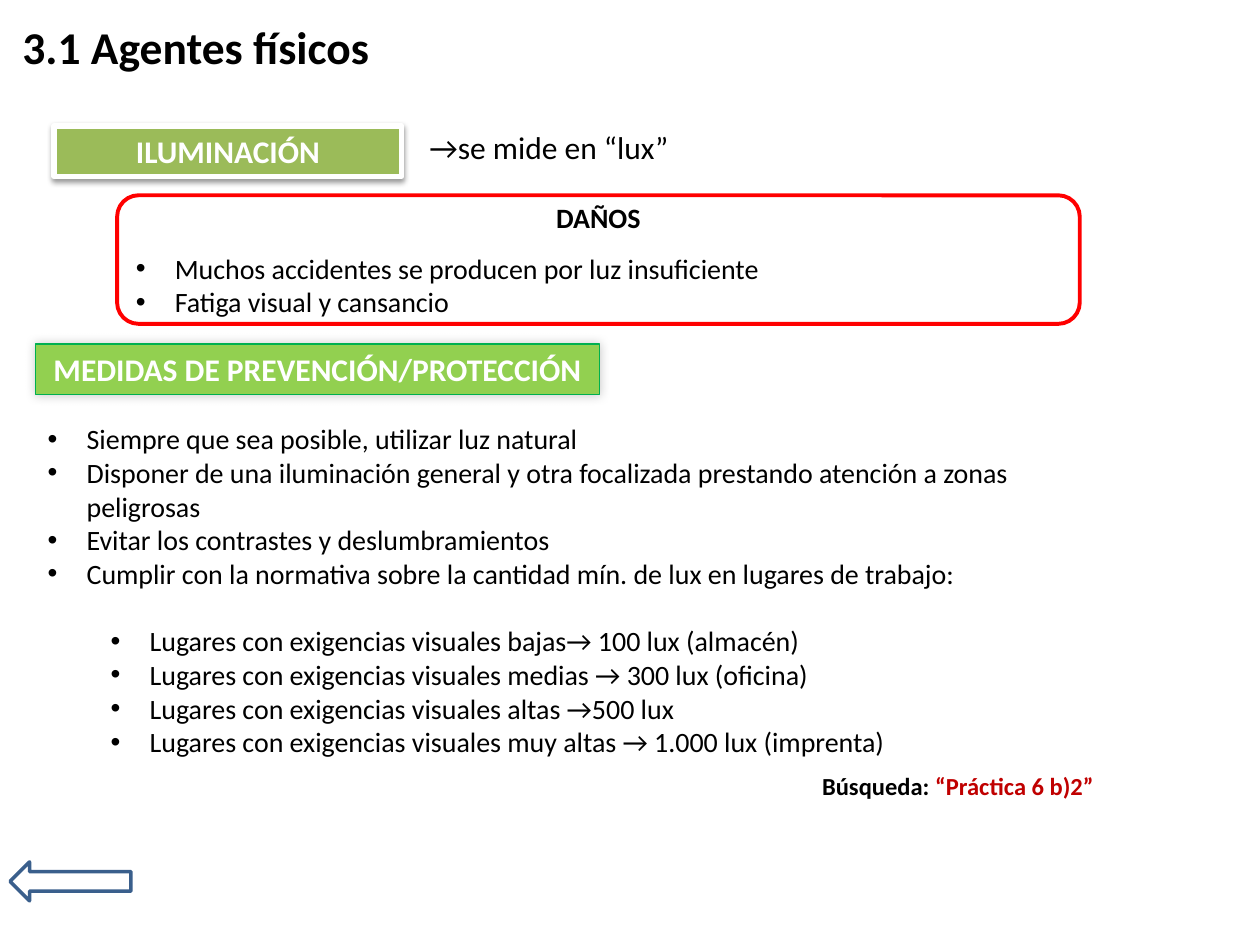
import pptx
import pptx.util
import pptx.oxml
import pptx.oxml.ns
import pptx.dml.color
import pptx.enum.shapes
import pptx.enum.text

Inches = pptx.util.Inches
Pt = pptx.util.Pt
SHAPE = pptx.enum.shapes.MSO_SHAPE
ALIGN = pptx.enum.text.PP_ALIGN
ANCHOR = pptx.enum.text.MSO_ANCHOR
NS = pptx.oxml.ns.nsdecls("a")

HUES = {
    "text": "000000", "light": "FFFFFF", "lime": "92D050", "green": "00B050",
    "olive": "9BBB59", "harm": "FF0000", "arrow": "3A5F8C", "task": "C00000",
}
HARMS = ["Muchos accidentes se producen por luz insuficiente",
         "Fatiga visual y cansancio"]
STEPS = ["Siempre que sea posible, utilizar luz natural",
         "Disponer de una iluminación general y otra focalizada prestando "
         "atención a zonas peligrosas",
         "Evitar los contrastes y deslumbramientos",
         "Cumplir con la normativa sobre la cantidad mín. de lux en lugares "
         "de trabajo:"]
NEEDS = ["bajas→ 100 lux (almacén)", "medias → 300 lux (oficina)",
         "altas →500 lux", "muy altas → 1.000 lux (imprenta)"]


def tint(name):
    return pptx.dml.color.RGBColor.from_string(HUES[name])


def apply(item, looks):
    for key, value in looks.items():
        setattr(item, key, value)


def write(para, text, size, bold=False, hue="text"):
    run = para.add_run()
    run.text = text
    apply(run.font, {"name": "Calibri", "size": Pt(size), "bold": bold})
    run.font.color.rgb = tint(hue)


def bullet(para, text, size, left=0.31, level=0):
    props = para._p.get_or_add_pPr()
    props.set("marL", str(Inches(left)))
    props.set("indent", str(Inches(-0.31)))
    props.append(pptx.oxml.parse_xml(f'<a:buFont {NS} typeface="Arial"/>'))
    props.append(pptx.oxml.parse_xml(f'<a:buChar {NS} char="•"/>'))
    apply(para, {"level": level, "alignment": ALIGN.LEFT})
    write(para, text, size)


def label(slide, box, parts, size, bold=False, align=ALIGN.LEFT,
          anchor=ANCHOR.TOP):
    frame = slide.shapes.add_textbox(*map(Inches, box)).text_frame
    apply(frame, {"word_wrap": True, "vertical_anchor": anchor})
    para = frame.paragraphs[0]
    para.alignment = align
    for text, hue in parts:
        write(para, text, size, bold, hue)


def panel(slide, box, kind, line, width, fill=None):
    shape = slide.shapes.add_shape(kind, *map(Inches, box))
    shape.shadow.inherit = False
    if fill:
        shape.fill.solid()
        shape.fill.fore_color.rgb = tint(fill)
    else:
        shape.fill.background()
    shape.line.color.rgb = tint(line)
    shape.line.width = Pt(width)
    return shape


def shade(shape, alpha, blur, dist, angle):
    effects = shape._element.spPr.find(pptx.oxml.ns.qn("a:effectLst"))
    effects.append(pptx.oxml.parse_xml(
        f'<a:outerShdw {NS} blurRad="{Pt(blur)}" dist="{Pt(dist)}" '
        f'dir="{angle * 60000}" rotWithShape="0"><a:srgbClr val="000000">'
        f'<a:alpha val="{alpha * 1000}"/></a:srgbClr></a:outerShdw>'))


def banner(slide, box, text, fill, line, width, shadow):
    shape = panel(slide, box, SHAPE.RECTANGLE, line, width, fill)
    shade(shape, *shadow)
    frame = shape.text_frame
    apply(frame, {"word_wrap": True, "vertical_anchor": ANCHOR.TOP})
    frame.paragraphs[0].alignment = ALIGN.CENTER
    write(frame.paragraphs[0], text, 18, True, "light")


def damage(slide, box):
    frame = panel(slide, box, SHAPE.ROUNDED_RECTANGLE, "harm", 2.25).text_frame
    apply(frame, {"word_wrap": True, "vertical_anchor": ANCHOR.MIDDLE})
    head = frame.paragraphs[0]
    apply(head, {"alignment": ALIGN.CENTER, "space_after": Pt(9.8)})
    write(head, "DAÑOS", 16, True)
    for text in HARMS:
        bullet(frame.add_paragraph(), text, 16)


def advice(slide, box):
    frame = slide.shapes.add_textbox(*map(Inches, box)).text_frame
    frame.word_wrap = True
    para = frame.paragraphs[0]
    for i, text in enumerate(STEPS):
        para = para if i == 0 else frame.add_paragraph()
        bullet(para, text, 16)
    para.space_after = Pt(19.5)
    for need in NEEDS:
        bullet(frame.add_paragraph(), f"Lugares con exigencias visuales {need}",
               16, 0.81, 1)


def main():
    deck = pptx.Presentation()
    apply(deck, {"slide_width": Inches(10), "slide_height": Inches(7.5)})
    slide = deck.slides.add_slide(deck.slide_layouts[6])
    label(slide, (0.08, 0.05, 9.92, 0.63), [("3.1 Agentes físicos", "text")],
          26, True, anchor=ANCHOR.MIDDLE)
    panel(slide, (0.08, 6.84, 0.96, 0.31), SHAPE.LEFT_ARROW, "arrow", 2)
    banner(slide, (0.28, 2.73, 4.48, 0.4), "MEDIDAS DE PREVENCIÓN/PROTECCIÓN",
           "lime", "green", 0.75, (20, 6, 0, 225))
    damage(slide, (0.93, 1.55, 7.64, 1.02))
    advice(slide, (0.28, 3.3, 8.54, 3.06))
    banner(slide, (0.43, 1, 2.76, 0.4), "ILUMINACIÓN",
           "olive", "light", 3, (38, 3.1, 1.6, 90))
    label(slide, (3.31, 0.97, 5.65, 0.4), [("→se mide en “lux”", "text")], 18)
    label(slide, (6.11, 6.07, 3.03, 0.34),
          [("Búsqueda:", "text"), (" “Práctica 6 b)2” ", "task")],
          14, True, ALIGN.CENTER)
    deck.save("out.pptx")


if __name__ == "__main__":
    main()
